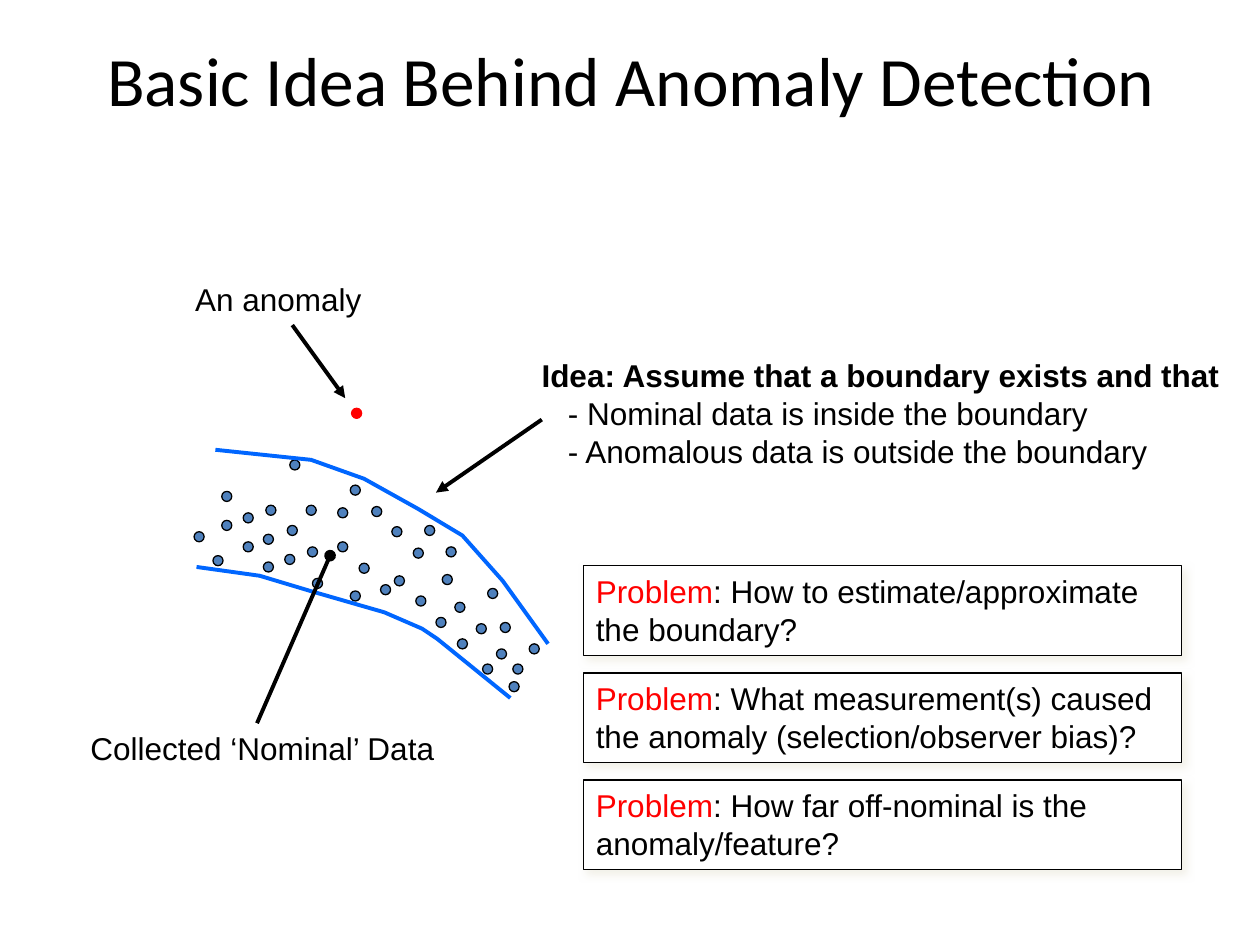
from lxml.etree import SubElement
from pptx import Presentation
from pptx.dml.color import RGBColor
from pptx.enum.shapes import MSO_CONNECTOR, MSO_SHAPE
from pptx.enum.text import MSO_ANCHOR, MSO_AUTO_SIZE, PP_ALIGN
from pptx.oxml.ns import qn
from pptx.util import Emu, Pt

PX = 9144  # 100 px to the inch
BLACK, WHITE, RED = "000000", "FFFFFF", "FF0000"
DOT_FILL, BOUNDARY, SHADOW = "4F81BD", "0066FF", "EEECE1"
DOT_SIZE = 8

TITLE = "Basic Idea Behind Anomaly Detection"
NOMINAL_DOTS = [
    (361, 478), (378, 495), (397, 494), (404, 541), (169, 441), (248, 459),
    (420, 511), (383, 527), (268, 430), (285, 447), (302, 464), (407, 527),
    (313, 457), (330, 473), (346, 490), (363, 507), (337, 417), (354, 434),
    (394, 515), (387, 467), (278, 385), (295, 402), (311, 418), (328, 435),
    (230, 365), (351, 456), (243, 401), (268, 403), (211, 401), (228, 417),
    (244, 434), (278, 469), (176, 413), (193, 430), (209, 446), (154, 422),
    (176, 390), (193, 407), (209, 424), (226, 440),
]
ANOMALY_DOT = (279, 324)
BOUNDARIES = [
    [(156, 450), (206, 457), (246, 469), (305, 486), (335, 499), (347, 507), (405, 554)],
    [(171, 357), (247, 365), (289, 380), (332, 404), (367, 425), (399, 461), (435, 511)],
]
LABELS = [
    ((62, 574, 317, 40), "Collected ‘Nominal’ Data"),
    ((145, 217, 167, 40), "An anomaly"),
]
IDEA_AREA = (420, 278, 566, 101)
IDEA = "Idea: Assume that a boundary exists and that"
IDEA_POINTS = ["- Nominal data is inside the boundary", "- Anomalous data is outside the boundary"]
POINTERS = [
    ((204, 574), (262, 441), "oval"),
    ((430, 333), (346, 391), "triangle"),
    ((232, 258), (274, 316), "triangle"),
]
PROBLEMS = [
    "How to estimate/approximate the boundary?",
    "What measurement(s) caused the anomaly (selection/observer bias)?",
    "How far off-nominal is the anomaly/feature?",
]
PROBLEM_LEFT, PROBLEM_TOP, PROBLEM_WIDTH, PROBLEM_HEIGHT, PROBLEM_STEP = 463, 449, 475, 71, 85


def px(*lengths):
    return [Emu(length * PX) for length in lengths]


def color(value):
    return RGBColor.from_string(value)


def set_line(shape, value, width):
    shape.line.color.rgb = color(value)
    shape.line.width = Pt(width)


def add_span(para, text, size=18, font="Arial", ink=BLACK, bold=False):
    span = para.add_run()
    span.text = text
    span.font.size, span.font.name, span.font.bold = Pt(size), font, bold
    span.font.color.rgb = color(ink)


def add_box(shapes, area):
    box = shapes.add_textbox(*px(*area))
    box.text_frame.word_wrap = True
    return box.text_frame


def add_filled(shapes, kind, area, fill, line):
    shape = shapes.add_shape(kind, *px(*area))
    shape.shadow.inherit = False
    shape.fill.solid()
    shape.fill.fore_color.rgb = color(fill)
    set_line(shape, line, 0.75)
    return shape


def add_dot(shapes, corner, fill, line):
    add_filled(shapes, MSO_SHAPE.OVAL, (*corner, DOT_SIZE, DOT_SIZE), fill, line)


def add_boundary(shapes, points):
    builder = shapes.build_freeform(*points[0], scale=PX)
    builder.add_line_segments(points[1:], close=False)
    curve = builder.convert_to_shape()
    curve.shadow.inherit = False
    curve.fill.background()
    set_line(curve, BOUNDARY, 2.25)


def add_pointer(shapes, start, end, head):
    pointer = shapes.add_connector(MSO_CONNECTOR.STRAIGHT, *px(*start, *end))
    set_line(pointer, BLACK, 2.25)
    SubElement(pointer.line._get_or_add_ln(), qn("a:tailEnd"), type=head)
    SubElement(pointer._element.spPr, qn("a:effectLst"))


def add_soft_shadow(shape):
    effects = shape._element.spPr.find(qn("a:effectLst"))
    shadow = SubElement(effects, qn("a:outerShdw"), blurRad=str(Pt(5)), dist=str(Pt(3)),
                        dir=str(45 * 60000), algn="tl", rotWithShape="0")
    tint = SubElement(shadow, qn("a:srgbClr"), val=SHADOW)
    SubElement(tint, qn("a:alpha"), val="75000")


def add_title(page):
    title = page.shapes.title
    title.left, title.top, title.width, title.height = px(35, 0, 932, 125)
    frame = title.text_frame
    frame.auto_size = MSO_AUTO_SIZE.NONE
    frame.vertical_anchor = MSO_ANCHOR.MIDDLE
    para = frame.paragraphs[0]
    para.alignment = PP_ALIGN.CENTER
    add_span(para, TITLE, size=39.6, font="Calibri")


def add_diagram(shapes):
    for corner in NOMINAL_DOTS:
        add_dot(shapes, corner, DOT_FILL, BLACK)
    add_dot(shapes, ANOMALY_DOT, RED, RED)
    for points in BOUNDARIES:
        add_boundary(shapes, points)
    for area, text in LABELS:
        add_span(add_box(shapes, area).paragraphs[0], text)
    idea = add_box(shapes, IDEA_AREA)
    add_span(idea.paragraphs[0], IDEA, bold=True)
    for text in IDEA_POINTS:
        para = idea.add_paragraph()
        para._p.get_or_add_pPr().set("marL", str(21 * PX))
        add_span(para, text)
    for pointer in POINTERS:
        add_pointer(shapes, *pointer)


def add_problems(shapes):
    for row, text in enumerate(PROBLEMS):
        area = (PROBLEM_LEFT, PROBLEM_TOP + row * PROBLEM_STEP, PROBLEM_WIDTH, PROBLEM_HEIGHT)
        box = add_filled(shapes, MSO_SHAPE.RECTANGLE, area, WHITE, BLACK)
        add_soft_shadow(box)
        frame = box.text_frame
        frame.word_wrap = True
        frame.vertical_anchor = MSO_ANCHOR.TOP
        para = frame.paragraphs[0]
        para.alignment = PP_ALIGN.LEFT
        add_span(para, "Problem", ink=RED)
        add_span(para, ": " + text)


def main():
    deck = Presentation()
    deck.slide_width, deck.slide_height = px(1000, 750)
    page = deck.slides.add_slide(deck.slide_layouts[5])
    add_title(page)
    add_diagram(page.shapes.add_group_shape().shapes)
    add_problems(page.shapes)
    deck.save("out.pptx")


if __name__ == "__main__":
    main()
